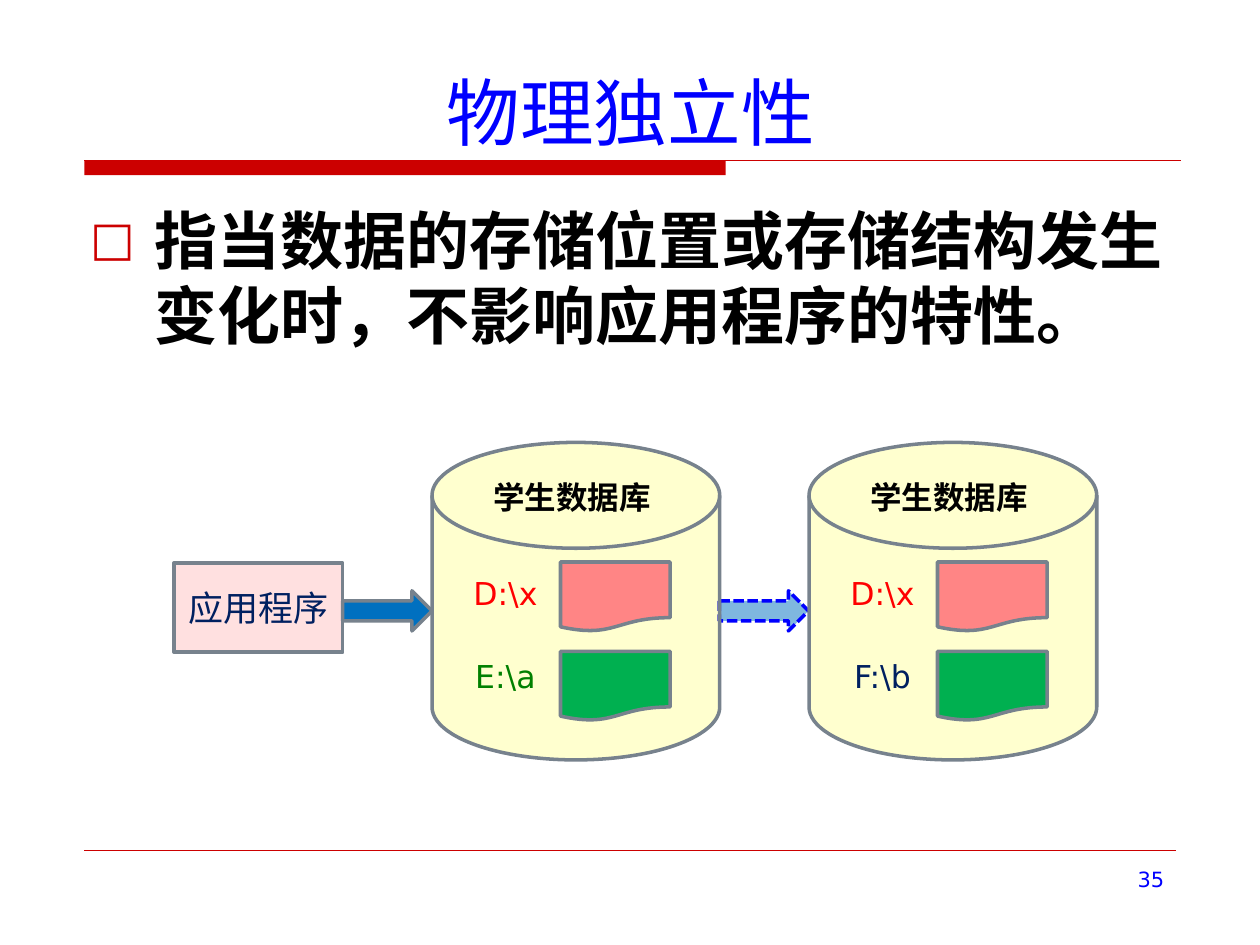
from pptx import Presentation
from pptx.dml.color import RGBColor
from pptx.enum.dml import MSO_LINE
from pptx.enum.shapes import MSO_CONNECTOR, MSO_SHAPE
from pptx.enum.text import MSO_ANCHOR, PP_ALIGN
from pptx.oxml.ns import qn
from pptx.util import Cm, Pt
from lxml.etree import SubElement

BLUE = RGBColor(0x00, 0x00, 0xFF)
BLACK = RGBColor(0x00, 0x00, 0x00)
NAVY = RGBColor(0x00, 0x20, 0x60)
RED = RGBColor(0xFF, 0x00, 0x00)
DARK_RED = RGBColor(0xCC, 0x00, 0x00)
DARK_GREEN = RGBColor(0x00, 0x80, 0x00)
GREEN = RGBColor(0x00, 0xB0, 0x50)
SALMON = RGBColor(0xFF, 0x85, 0x85)
PINK = RGBColor(0xFF, 0xC2, 0xC2)
YELLOW = RGBColor(0xFF, 0xFF, 0x00)
ARROW_BLUE = RGBColor(0x00, 0x70, 0xC0)
GREY = RGBColor(0x77, 0x82, 0x8D)

LATIN_FONT = "DejaVu Sans"
CHINESE_FONT = "Noto Sans CJK SC"


def write_text(box, text, size, color, font=CHINESE_FONT, bold=False,
               align=PP_ALIGN.CENTER, anchor=MSO_ANCHOR.MIDDLE, wrap=True):
    frame = box.text_frame
    frame.word_wrap = wrap
    frame.vertical_anchor = anchor
    para = frame.paragraphs[0]
    para.alignment = align
    span = para.add_run()
    span.text = text
    span.font.size = Pt(size)
    span.font.bold = bold
    span.font.color.rgb = color
    span.font.name = font
    SubElement(span.font._element, qn("a:ea")).set("typeface", font)
    return para


def add_text(shapes, left, top, width, height, text, **style):
    box = shapes.add_textbox(Cm(left), Cm(top), Cm(width), Cm(height))
    return box, write_text(box, text, **style)


def add_block(shapes, kind, left, top, width, height, fill,
              line=GREY, opacity=100, dash=None):
    shape = shapes.add_shape(kind, Cm(left), Cm(top), Cm(width), Cm(height))
    shape.shadow.inherit = False
    shape.fill.solid()
    shape.fill.fore_color.rgb = fill
    if opacity < 100:
        color = shape.fill._xPr.find(".//" + qn("a:srgbClr"))
        SubElement(color, qn("a:alpha")).set("val", str(opacity * 1000))
    if line is None:
        shape.line.fill.background()
    else:
        shape.line.color.rgb = line
        shape.line.width = Pt(2)
        if dash is not None:
            shape.line.dash_style = dash
    return shape


def add_rule(page, left, right, top, width):
    rule = page.shapes.add_connector(
        MSO_CONNECTOR.STRAIGHT, Cm(left), Cm(top), Cm(right), Cm(top))
    rule.line.color.rgb = DARK_RED
    rule.line.width = Pt(width)
    SubElement(rule._element.spPr, qn("a:effectLst"))


def add_bullet(para, char, color, percent, indent):
    props = para._p.get_or_add_pPr()
    props.set("marL", str(Cm(indent)))
    props.set("indent", str(-Cm(indent)))
    SubElement(SubElement(props, qn("a:buClr")), qn("a:srgbClr")).set("val", str(color))
    SubElement(props, qn("a:buSzPct")).set("val", str(percent * 1000))
    SubElement(props, qn("a:buFont")).set("typeface", LATIN_FONT)
    SubElement(props, qn("a:buChar")).set("char", char)


def add_database(page, left, files):
    """Draw a disk holding one labelled document per file."""
    shapes = page.shapes.add_group_shape().shapes
    add_block(shapes, MSO_SHAPE.FLOWCHART_MAGNETIC_DISK, left, 8.92, 5.8, 6.4,
              YELLOW, opacity=19)
    for label, color, fill, label_top, document_top in files:
        add_block(shapes, MSO_SHAPE.FLOWCHART_DOCUMENT, left + 2.59, document_top,
                  2.21, 1.4, fill)
        add_text(shapes, left + 0.38, label_top, 2.2, 0.99, label,
                 size=18, color=color, font=LATIN_FONT)
    add_text(shapes, left + 0.89, 9.31, 4, 1.4, "学生数据库 ",
             size=18, color=BLACK, bold=True)


def main():
    deck = Presentation()
    deck.slide_width, deck.slide_height = Cm(25.4), Cm(19.05)
    page = deck.slides.add_slide(deck.slide_layouts[6])
    shapes = page.shapes

    # Rules of the page
    add_block(shapes, MSO_SHAPE.RECTANGLE, 1.7, 3.23, 12.93, 0.3, DARK_RED, line=None)
    add_rule(page, 1.7, 23.8, 3.23, 0.75)
    add_rule(page, 1.7, 23.7, 17.15, 0.25)

    # Title and definition
    title, _ = add_text(shapes, 1.6, 0.84, 22.23, 2.29, "物理独立性",
                        size=42, color=BLUE, anchor=MSO_ANCHOR.BOTTOM)
    title.text_frame.margin_bottom = 0
    _, para = add_text(shapes, 1.57, 3.94, 22.23, 4.39,
                       "指当数据的存储位置或存储结构发生变化时，不影响应用程序的特性。",
                       size=36, color=BLACK, bold=True,
                       align=PP_ALIGN.LEFT, anchor=MSO_ANCHOR.TOP)
    para.space_before = Pt(5)
    para.line_spacing = Pt(43)
    add_bullet(para, "□", DARK_RED, percent=75, indent=1.3)

    # Application and arrows
    program = add_block(shapes, MSO_SHAPE.RECTANGLE, 3.51, 11.35, 3.4, 1.8,
                        PINK, opacity=50)
    write_text(program, "应用程序", size=20, color=NAVY, wrap=False)
    add_block(shapes, MSO_SHAPE.RIGHT_ARROW, 6.91, 11.91, 1.8, 0.81, ARROW_BLUE)
    add_block(shapes, MSO_SHAPE.RIGHT_ARROW, 14.5, 11.91, 1.8, 0.81, ARROW_BLUE,
              line=BLUE, opacity=50, dash=MSO_LINE.SQUARE_DOT)

    # Databases before and after the move
    for left, moved_file, color in ((8.71, "E:\\a", DARK_GREEN), (16.31, "F:\\b", NAVY)):
        add_database(page, left, (
            ("D:\\x", RED, SALMON, 11.46, 11.33),
            (moved_file, color, GREEN, 13.13, 13.13),
        ))

    # Page number
    add_text(shapes, 18.21, 17.35, 5.51, 1.32, "35", size=12, color=BLUE,
             font=LATIN_FONT, align=PP_ALIGN.RIGHT, anchor=MSO_ANCHOR.TOP)

    deck.save("out.pptx")


if __name__ == "__main__":
    main()
